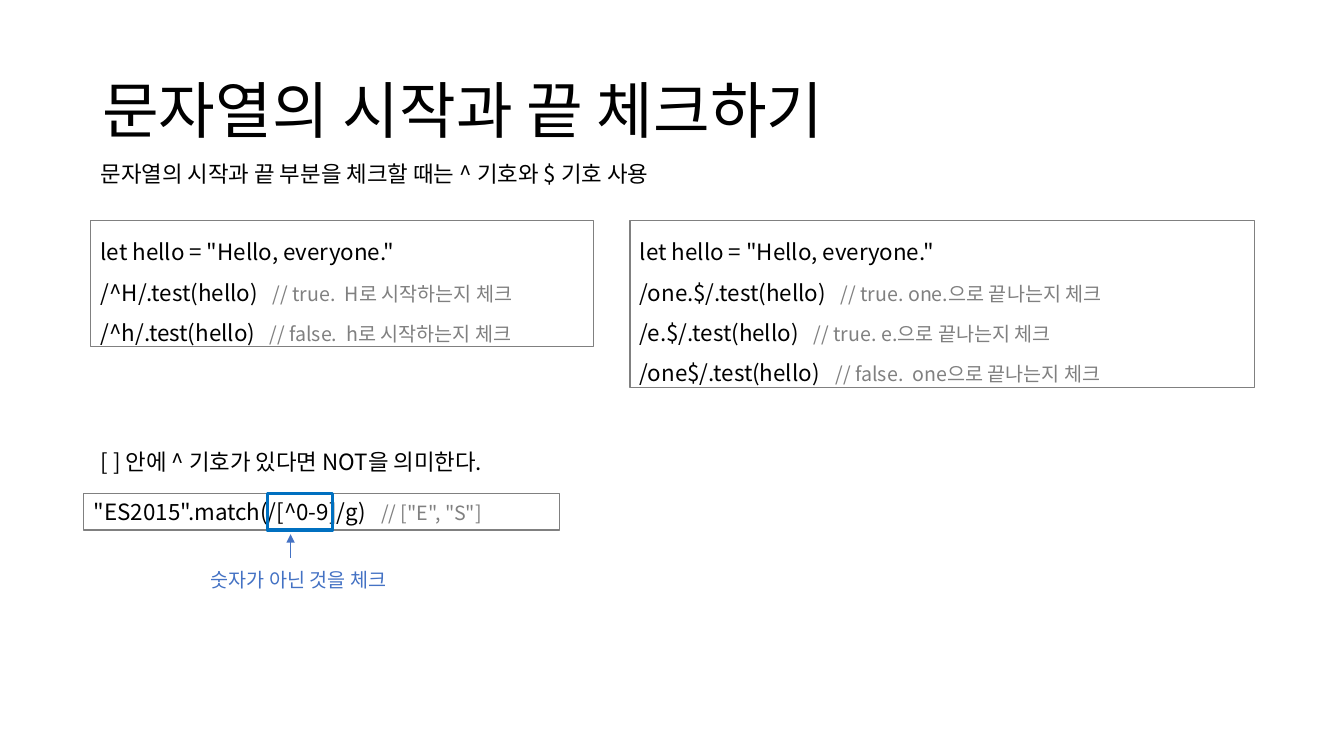
from dataclasses import dataclass

from lxml.etree import SubElement
from pptx import Presentation
from pptx.dml.color import RGBColor
from pptx.enum.shapes import MSO_CONNECTOR, MSO_SHAPE
from pptx.enum.text import MSO_ANCHOR, PP_ALIGN
from pptx.oxml.ns import qn
from pptx.shapes.autoshape import Shape
from pptx.slide import Slide
from pptx.text.text import _Paragraph
from pptx.util import Inches, Pt

FONT = "Noto Sans CJK KR"
BLACK = RGBColor(0x00, 0x00, 0x00)
GRAY = RGBColor(0x80, 0x80, 0x80)
BLUE = RGBColor(0x44, 0x72, 0xC4)
HIGHLIGHT_BLUE = RGBColor(0x00, 0x70, 0xC0)

SLIDE_COLUMNS, SLIDE_ROWS = 160, 90
CELL = Inches(1) / 12


def cells(count: float) -> int:
    return round(count * CELL)


@dataclass(frozen=True)
class Area:
    column: float
    row: float
    columns: float
    rows: float

    def bounds(self) -> tuple[int, int, int, int]:
        return (cells(self.column), cells(self.row),
                cells(self.columns), cells(self.rows))


@dataclass(frozen=True)
class Label:
    area: Area
    text: str
    size: float = 16
    color: RGBColor = BLACK
    anchor: MSO_ANCHOR = MSO_ANCHOR.TOP
    spacing: float = 1.0


@dataclass(frozen=True)
class CodeLine:
    code: str
    remark: str = ""
    remark_column: float = 0


@dataclass(frozen=True)
class CodeBox:
    area: Area
    lines: tuple[CodeLine, ...]
    spacing: float = 1.5


GREETING = CodeLine('let hello = "Hello, everyone."')

LABELS = (
    Label(Area(11, 4.8, 138, 17.4), "문자열의 시작과 끝 체크하기",
          44, anchor=MSO_ANCHOR.MIDDLE, spacing=0.9),
    Label(Area(10.8, 18.5, 105.2, 4.4),
          "문자열의 시작과 끝 부분을 체크할 때는 ^ 기호와 $ 기호 사용"),
    Label(Area(10.8, 52.7, 105.2, 4.4),
          "[ ] 안에 ^ 기호가 있다면 NOT을 의미한다."),
    Label(Area(23.9, 67, 28.8, 4.1), "숫자가 아닌 것을 체크", 14, BLUE),
)

CODE_BOXES = (
    CodeBox(Area(10.8, 26.2, 59.9, 15.1), (
        GREETING,
        CodeLine("/^H/.test(hello)", "// true.  H로 시작하는지 체크", 20.5),
        CodeLine("/^h/.test(hello)", "// false.  h로 시작하는지 체크", 20.1),
    )),
    CodeBox(Area(75, 26.2, 74.3, 19.9), (
        GREETING,
        CodeLine("/one.$/.test(hello)", "// true. one.으로 끝나는지 체크", 23.9),
        CodeLine("/e.$/.test(hello)", "// true. e.으로 끝나는지 체크", 20.7),
        CodeLine("/one$/.test(hello)", "// false.  one으로 끝나는지 체크", 23.3),
    )),
    CodeBox(Area(10, 58.7, 56.6, 4.4), (
        CodeLine('"ES2015".match(/[^0-9]/g)', '// ["E", "S"]', 34.2),
    ), spacing=1.0),
)

NEGATED_SET = Area(31.8, 58.7, 7.8, 4.4)
ARROW_COLUMN, ARROW_START, ARROW_END = 34.6, 66.4, 63.6


def add_run(paragraph: _Paragraph, text: str, size: float, color: RGBColor) -> None:
    run = paragraph.add_run()
    run.text = text
    run.font.name = FONT
    run.font.size = Pt(size)
    run.font.color.rgb = color
    SubElement(run.font._element, qn("a:ea"), typeface=FONT)


def add_label(slide: Slide, label: Label) -> None:
    frame = slide.shapes.add_textbox(*label.area.bounds()).text_frame
    frame.word_wrap = True
    frame.vertical_anchor = label.anchor
    paragraph = frame.paragraphs[0]
    paragraph.line_spacing = label.spacing
    add_run(paragraph, label.text, label.size, label.color)


def add_outline(slide: Slide, area: Area, color: RGBColor, width: float) -> Shape:
    outline = slide.shapes.add_shape(MSO_SHAPE.RECTANGLE, *area.bounds())
    outline.shadow.inherit = False
    outline.fill.background()
    outline.line.color.rgb = color
    outline.line.width = Pt(width)
    return outline


def add_code_box(slide: Slide, box: CodeBox) -> None:
    frame = add_outline(slide, box.area, GRAY, 0.75).text_frame
    frame.word_wrap = True
    frame.vertical_anchor = MSO_ANCHOR.TOP
    for index, line in enumerate(box.lines):
        paragraph = frame.add_paragraph() if index else frame.paragraphs[0]
        paragraph.alignment = PP_ALIGN.LEFT
        paragraph.line_spacing = box.spacing
        add_run(paragraph, line.code, 16, BLACK)
        if line.remark:
            tabs = SubElement(paragraph._p.get_or_add_pPr(), qn("a:tabLst"))
            SubElement(tabs, qn("a:tab"), pos=str(cells(line.remark_column)), algn="l")
            add_run(paragraph, "\t" + line.remark, 14, GRAY)


def add_arrow(slide: Slide) -> None:
    arrow = slide.shapes.add_connector(
        MSO_CONNECTOR.STRAIGHT, cells(ARROW_COLUMN), cells(ARROW_START),
        cells(ARROW_COLUMN), cells(ARROW_END))
    arrow.line.color.rgb = BLUE
    arrow.line.width = Pt(0.5)
    SubElement(arrow.line._get_or_add_ln(), qn("a:tailEnd"), type="triangle")
    SubElement(arrow._element.spPr, qn("a:effectLst"))


def main() -> None:
    presentation = Presentation()
    presentation.slide_width = cells(SLIDE_COLUMNS)
    presentation.slide_height = cells(SLIDE_ROWS)
    slide = presentation.slides.add_slide(presentation.slide_layouts[6])
    for label in LABELS:
        add_label(slide, label)
    for box in CODE_BOXES:
        add_code_box(slide, box)
    add_outline(slide, NEGATED_SET, HIGHLIGHT_BLUE, 2.25)
    add_arrow(slide)
    presentation.save("out.pptx")


if __name__ == "__main__":
    main()
